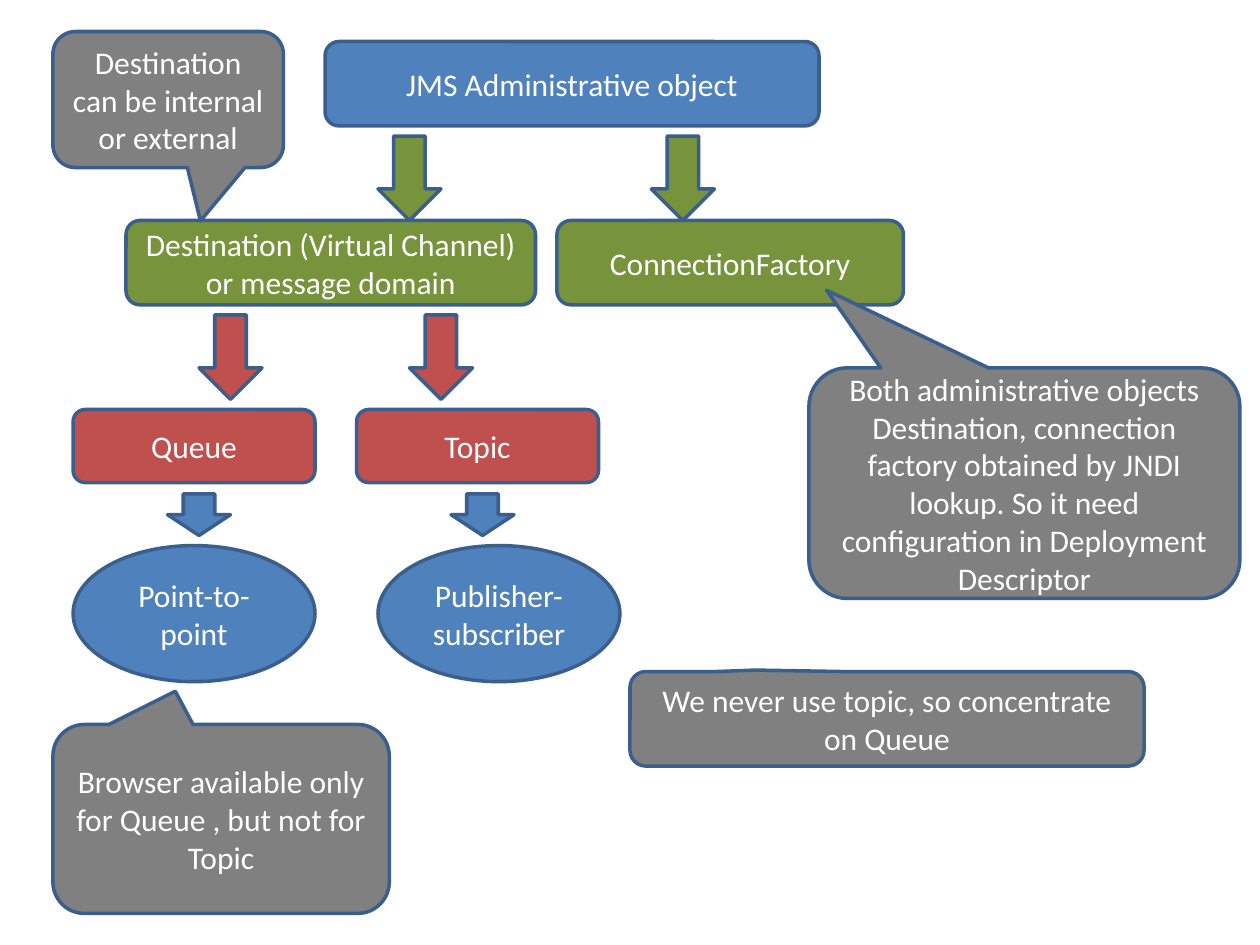
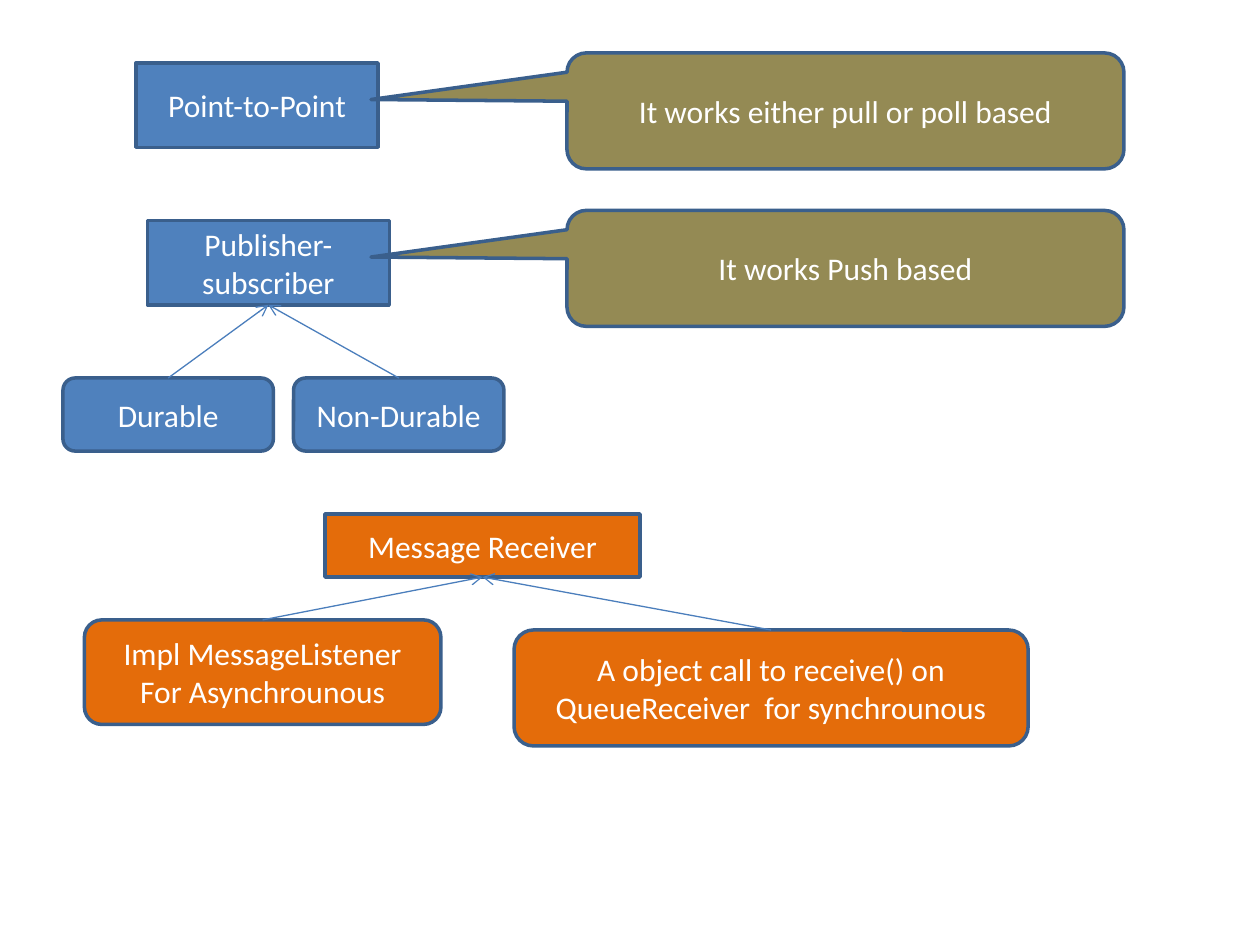
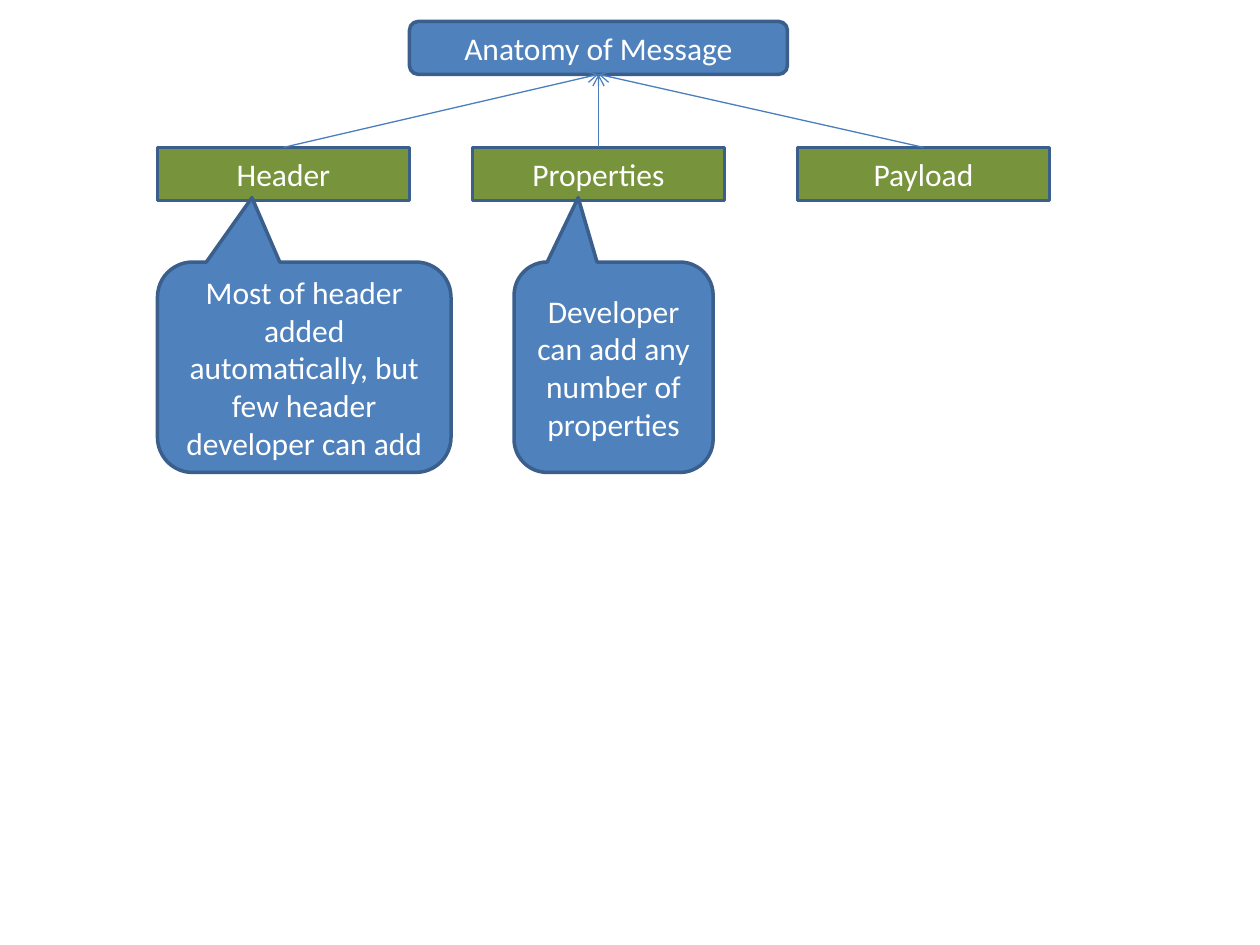
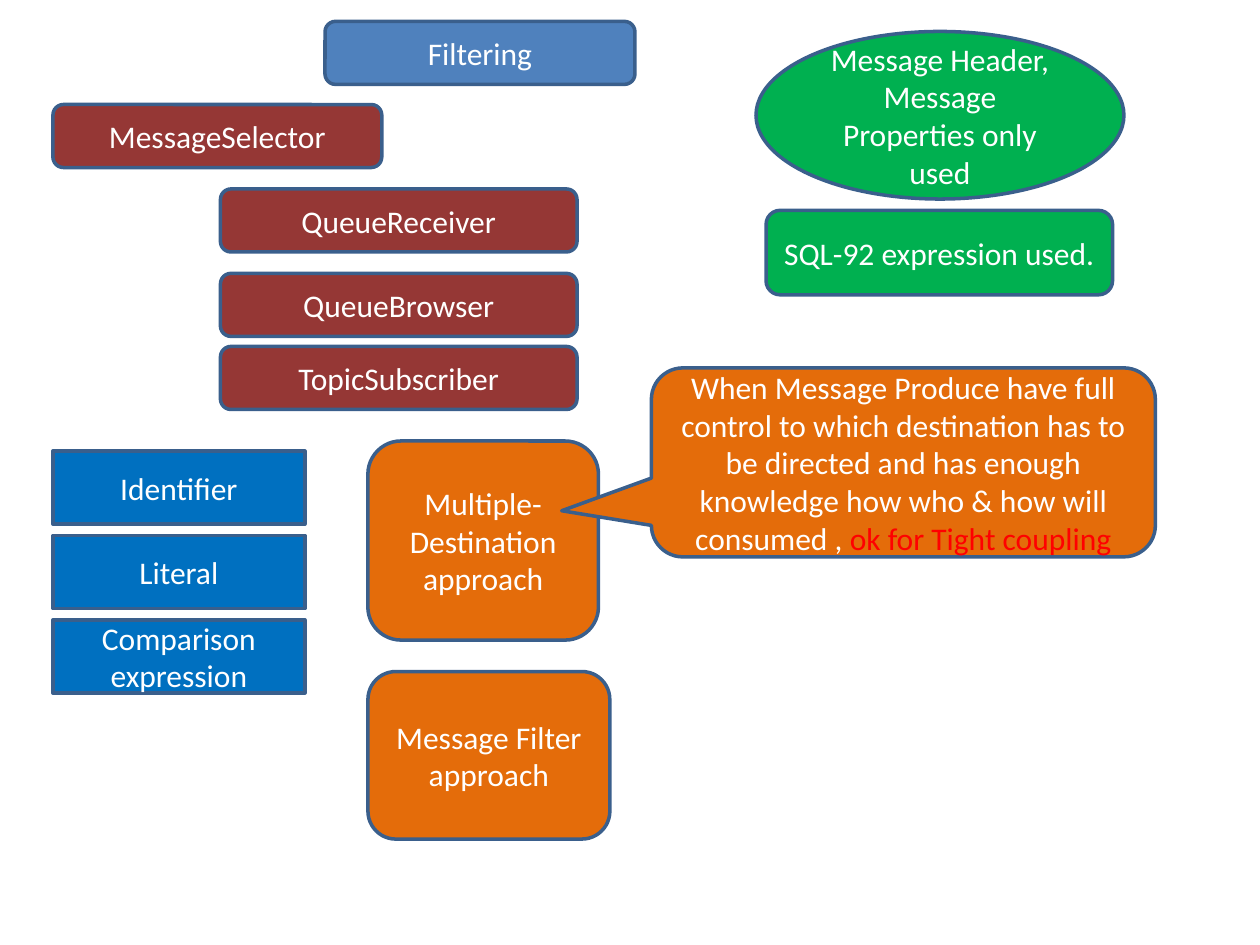
from lxml.etree import SubElement
from pptx import Presentation
from pptx.dml.color import RGBColor
from pptx.enum.shapes import MSO_CONNECTOR, MSO_SHAPE
from pptx.enum.text import MSO_ANCHOR, PP_ALIGN
from pptx.oxml.ns import qn
from pptx.util import Inches, Pt

# Shared style
FONT = "Calibri"
TEXT_SIZE = 18
WHITE = RGBColor(0xFF, 0xFF, 0xFF)
RED = RGBColor(0xFF, 0x00, 0x00)
BLUE = RGBColor(0x4F, 0x81, 0xBD)
BRIGHT_BLUE = RGBColor(0x00, 0x70, 0xC0)
OLIVE = RGBColor(0x77, 0x93, 0x3C)
KHAKI = RGBColor(0x94, 0x8A, 0x54)
GREEN = RGBColor(0x00, 0xB0, 0x50)
BRICK = RGBColor(0xC0, 0x50, 0x4D)
MAROON = RGBColor(0x95, 0x37, 0x35)
ORANGE = RGBColor(0xE4, 0x6C, 0x0A)
GRAY = RGBColor(0x80, 0x80, 0x80)
OUTLINE = RGBColor(0x3A, 0x5F, 0x8C)
LINK = RGBColor(0x4B, 0x7E, 0xBC)

RECT = MSO_SHAPE.RECTANGLE
ROUND = MSO_SHAPE.ROUNDED_RECTANGLE
OVAL = MSO_SHAPE.OVAL
ARROW = MSO_SHAPE.DOWN_ARROW
CALLOUT = MSO_SHAPE.ROUNDED_RECTANGULAR_CALLOUT
TOP, BOTTOM = 0, 2


def add_run(p, text, color=WHITE, size=TEXT_SIZE, font=FONT):
    r = p.add_run()
    r.text = text
    r.font.name = font
    r.font.size = Pt(size)
    r.font.color.rgb = color
    return r


def add_text(sp, text, align=PP_ALIGN.CENTER, anchor=MSO_ANCHOR.MIDDLE, **style):
    """Fill a shape with text, one paragraph per line."""
    tf = sp.text_frame
    tf.word_wrap = True
    tf.vertical_anchor = anchor
    for i, line in enumerate(text.split("\n")):
        p = tf.add_paragraph() if i else tf.paragraphs[0]
        p.alignment = align
        add_run(p, line, **style)


def add_box(s, kind, x, y, w, h, fill, text=""):
    sp = s.shapes.add_shape(kind, Inches(x), Inches(y), Inches(w), Inches(h))
    sp.shadow.inherit = False
    sp.fill.solid()
    sp.fill.fore_color.rgb = fill
    sp.line.color.rgb = OUTLINE
    sp.line.width = Pt(2)
    if text:
        add_text(sp, text)
    return sp


def add_callout(s, x, y, w, h, fill, text, tip):
    """Callout whose tip is an offset from the centre, as a share of its size."""
    sp = add_box(s, CALLOUT, x, y, w, h, fill, text)
    sp.adjustments[0], sp.adjustments[1] = tip
    return sp


def add_link(s, child, parent):
    """Thin arrow from the top of a child to the bottom of its parent."""
    c = s.shapes.add_connector(MSO_CONNECTOR.STRAIGHT, 0, 0, 0, 0)
    c.begin_connect(child, TOP)
    c.end_connect(parent, BOTTOM)
    c.line.color.rgb = LINK
    c.line.width = Pt(0.75)
    SubElement(c.line._get_or_add_ln(), qn("a:tailEnd"), type="arrow")
    SubElement(c._element.spPr, qn("a:effectLst"))


def add_slide(prs):
    return prs.slides.add_slide(prs.slide_layouts[6])


def administrative_objects(prs):
    s = add_slide(prs)
    add_box(s, ROUND, 2.58, 0.33, 3.92, 0.67, BLUE, "JMS Administrative object")
    add_box(s, ROUND, 1, 1.75, 3.25, 0.67, OLIVE,
            "Destination (Virtual Channel) or message domain")
    add_box(s, ROUND, 4.42, 1.75, 2.75, 0.67, OLIVE, "ConnectionFactory")
    for x, text in ((0.58, "Queue"), (2.83, "Topic")):
        add_box(s, ROUND, x, 3.25, 1.92, 0.58, BRICK, text)

    # Arrows between the levels
    for y, h, fill, lefts in ((2.5, 0.67, BRICK, (1.58, 3.25)),
                              (1.08, 0.67, OLIVE, (3, 5.17)),
                              (3.92, 0.33, BLUE, (1.33, 3.58))):
        for x in lefts:
            add_box(s, ARROW, x, y, 0.5, h, fill)

    # Messaging models
    for x, text in ((0.58, "Point-to-point"), (3, "Publisher-subscriber")):
        add_box(s, OVAL, x, 4.33, 1.92, 1.08, BLUE, text)

    # Remarks
    add_callout(s, 5, 5.33, 4.08, 0.75, GRAY,
                "We never use topic, so concentrate on Queue", (-0.256, -0.516))
    add_callout(s, 6.42, 2.92, 3.42, 1.83, GRAY,
                "Both administrative objects Destination, connection factory "
                "obtained by JNDI lookup. So it need configuration in "
                "Deployment Descriptor", (-0.459, -0.837))
    add_callout(s, 0.42, 0.25, 1.83, 1.08, GRAY,
                "Destination can be internal or external", (0.14, 0.892))
    add_callout(s, 0.42, 5.75, 2.67, 1.5, GRAY,
                "Browser available only for Queue , but not for Topic",
                (-0.136, -0.676))


def messaging_models(prs):
    s = add_slide(prs)
    add_box(s, RECT, 1.08, 0.5, 1.92, 0.67, BLUE, "Point-to-Point")
    publisher = add_box(s, RECT, 1.17, 1.75, 1.92, 0.67, BLUE,
                        "Publisher-subscriber")
    for y, text in ((0.42, "It works either pull or poll based"),
                    (1.67, "It works Push based")):
        add_callout(s, 4.5, y, 4.42, 0.92, KHAKI, text, (-0.852, -0.098))

    # Subscription kinds
    for x, text in ((0.5, "Durable"), (2.33, "Non-Durable")):
        kind = add_box(s, ROUND, x, 3, 1.67, 0.58, BLUE, text)
        add_link(s, kind, publisher)

    # Ways to receive
    receiver = add_box(s, RECT, 2.58, 4.08, 2.5, 0.5, ORANGE, "Message Receiver")
    for x, y, w, h, text in (
            (0.67, 4.92, 2.83, 0.83, "Impl MessageListener\nFor Asynchrounous"),
            (4.08, 5, 4.08, 0.92,
             "A object call to receive() on QueueReceiver  for synchrounous")):
        way = add_box(s, ROUND, x, y, w, h, ORANGE, text)
        add_link(s, way, receiver)


def message_anatomy(prs):
    s = add_slide(prs)
    message = add_box(s, ROUND, 3.25, 0.17, 3, 0.42, BLUE, "Anatomy of Message")
    for x, text in ((1.25, "Header"), (3.75, "Properties"), (6.33, "Payload")):
        part = add_box(s, RECT, x, 1.17, 2, 0.42, OLIVE, text)
        add_link(s, part, message)
    for x, w, text in (
            (4.08, 1.58, "Developer can add any number of properties"),
            (1.25, 2.33, "Most of header added automatically, but few header "
                         "developer can add")):
        add_callout(s, x, 2.08, w, 1.67, BLUE, text, (-0.178, -0.806))


def filtering(prs):
    s = add_slide(prs)
    add_box(s, ROUND, 2.58, 0.17, 2.46, 0.5, BLUE, "Filtering")

    # Selector and its users
    add_box(s, ROUND, 0.42, 0.83, 2.61, 0.5, MAROON, "MessageSelector")
    for y, text in ((1.5, "QueueReceiver"), (2.17, "QueueBrowser"),
                    (2.75, "TopicSubscriber")):
        add_box(s, ROUND, 1.75, y, 2.83, 0.5, MAROON, text)

    # What a selector works on
    add_box(s, OVAL, 6, 0.25, 2.92, 1.33, GREEN,
            "Message Header,\nMessage Properties only used")
    add_box(s, ROUND, 6.08, 1.67, 2.75, 0.67, GREEN, "SQL-92 expression used.")

    # Parts of an expression
    for i, text in enumerate(("Identifier", "Literal", "Comparison expression")):
        add_box(s, RECT, 0.42, 3.58 + 0.67 * i, 2, 0.58, BRIGHT_BLUE, text)

    # Approaches
    add_box(s, ROUND, 2.92, 3.5, 1.83, 1.58, ORANGE,
            "Multiple-Destination approach")
    add_box(s, ROUND, 2.92, 5.33, 1.92, 1.33, ORANGE, "Message Filter approach")
    remark = add_callout(
        s, 5.17, 2.92, 4, 1.5, ORANGE,
        "When Message Produce have full control to which destination has to be "
        "directed and has enough knowledge how who & how will consumed , ",
        (-0.678, 0.256))
    add_run(remark.text_frame.paragraphs[0], "ok for Tight coupling", color=RED)


def main():
    prs = Presentation()
    prs.slide_width, prs.slide_height = Inches(10), Inches(7.5)
    administrative_objects(prs)
    messaging_models(prs)
    message_anatomy(prs)
    filtering(prs)
    prs.save("out.pptx")


if __name__ == "__main__":
    main()
